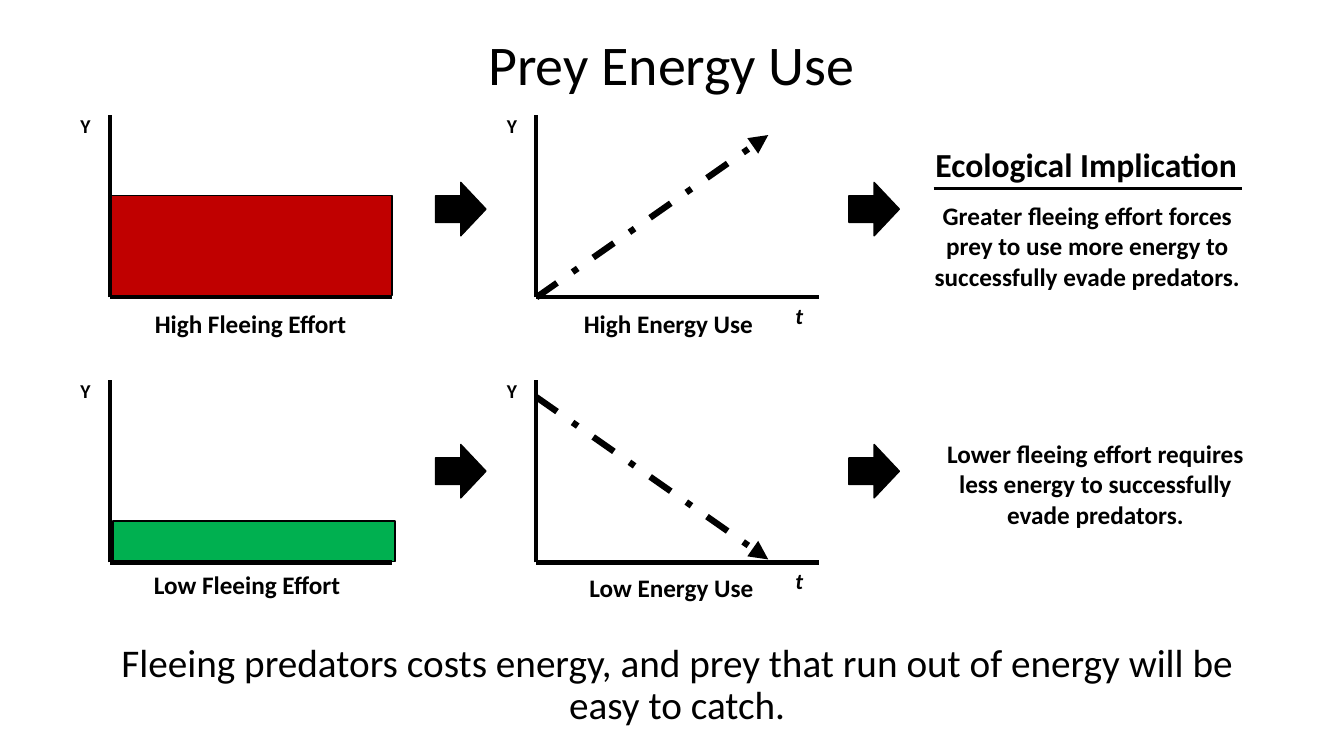
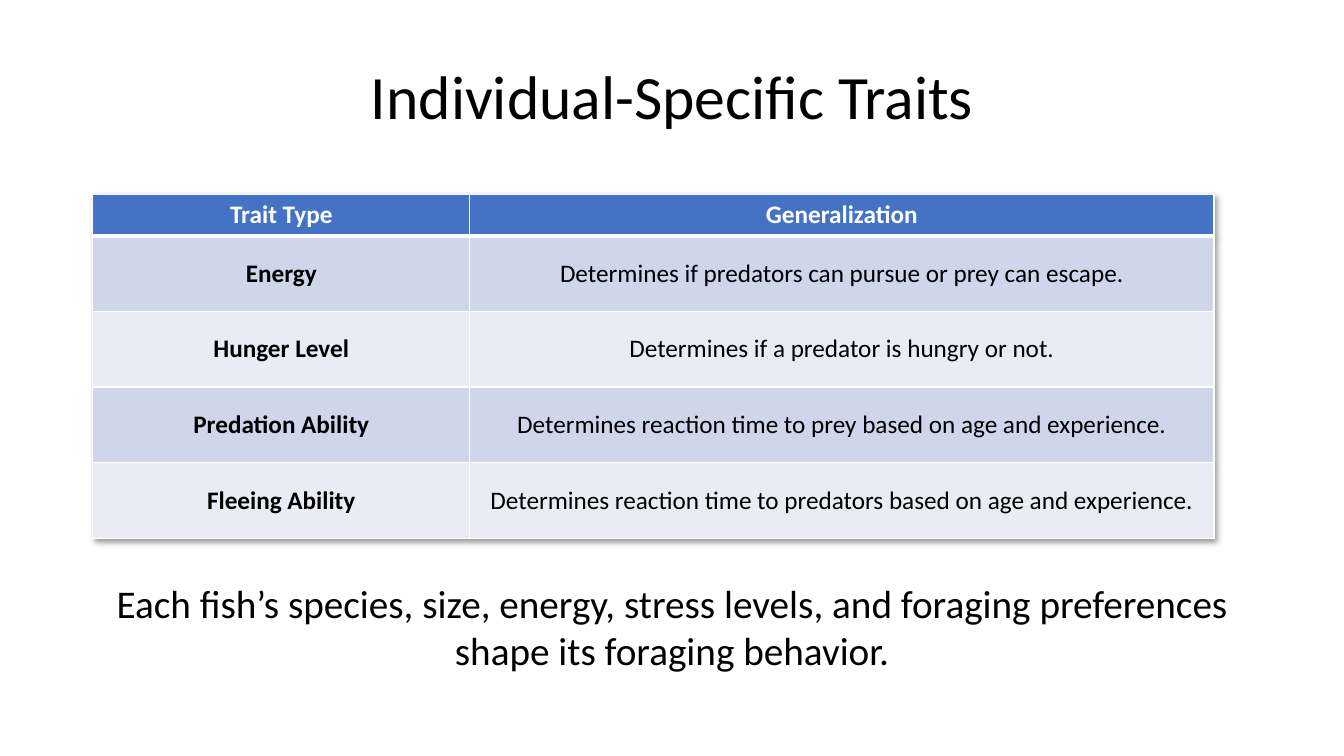
from lxml import etree
from pptx import Presentation
from pptx.dml.color import RGBColor
from pptx.enum import dml, shapes, text
from pptx.oxml import parse_xml
from pptx.oxml.ns import nsdecls, qn
from pptx.util import Inches, Pt

FONT = "Calibri"
BLACK = RGBColor(0x00, 0x00, 0x00)
WHITE = RGBColor(0xFF, 0xFF, 0xFF)
RED = RGBColor(0xC0, 0x00, 0x00)
GREEN = RGBColor(0x00, 0xB0, 0x50)
HEADER_BLUE = RGBColor(0x44, 0x72, 0xC4)
ROW_FILLS = (RGBColor(0xCF, 0xD5, 0xEA), RGBColor(0xE9, 0xEB, 0xF5))

EFFORT_X, ENERGY_X = 1.09, 5.32  # left edges of the two graph columns
AXIS_WIDTH, AXIS_HEIGHT = 2.8, 1.81
BASELINES = (2.95, 5.58)
ARROW_TOPS = (1.81, 4.41)

TRAITS = [
    ("Trait Type", "Generalization"),
    ("Energy", "Determines if predators can pursue or prey can escape."),
    ("Hunger Level", "Determines if a predator is hungry or not."),
    ("Predation Ability", "Determines reaction time to prey based on age and experience."),
    ("Fleeing Ability", "Determines reaction time to predators based on age and experience."),
]


def inches(*lengths):
    return [Inches(length) for length in lengths]


def write(frame, words, size, bold=False, italic=False, color=BLACK,
          align=text.PP_ALIGN.CENTER, spacing=None):
    frame.text = words
    para = frame.paragraphs[0]
    para.alignment = align
    if spacing:
        para.line_spacing = spacing
    font = para.runs[0].font
    font.name, font.size, font.bold, font.italic = FONT, Pt(size), bold, italic
    font.color.rgb = color


def write_heading(frame, words, size):
    """Write large text, centred both ways with tight line spacing."""
    frame.word_wrap = True
    frame.auto_size = text.MSO_AUTO_SIZE.NONE
    frame.vertical_anchor = text.MSO_ANCHOR.MIDDLE
    write(frame, words, size, spacing=0.9)


def add_titled_page(deck, words, size, left, top, width, height):
    page = deck.slides.add_slide(deck.slide_layouts[5])
    title = page.shapes.title
    title.left, title.top, title.width, title.height = inches(left, top, width, height)
    write_heading(title.text_frame, words, size)
    return page


def add_text(page, words, left, top, width, height, size=18, bold=True, **style):
    box = page.shapes.add_textbox(*inches(left, top, width, height))
    box.text_frame.word_wrap = True
    write(box.text_frame, words, size, bold, **style)


def add_shape(page, kind, left, top, width, height, fill):
    shape = page.shapes.add_shape(kind, *inches(left, top, width, height))
    shape.shadow.inherit = False
    shape.fill.solid()
    shape.fill.fore_color.rgb = fill
    shape.line.color.rgb = BLACK
    shape.line.width = Pt(1)


def add_line(page, x1, y1, x2, y2, weight=3):
    line = page.shapes.add_connector(shapes.MSO_CONNECTOR.STRAIGHT, *inches(x1, y1, x2, y2))
    line.line.color.rgb = BLACK
    line.line.width = Pt(weight)
    etree.SubElement(line._element.spPr, qn("a:effectLst"))
    return line


def add_trend(page, x1, y1, x2, y2):
    """Add a thick dash-dot line that ends in an arrowhead."""
    trend = add_line(page, x1, y1, x2, y2, 4.5)
    trend.line.dash_style = dml.MSO_LINE.DASH_DOT
    etree.SubElement(trend.line._get_or_add_ln(), qn("a:tailEnd"), type="triangle")


def add_axes(page, left, baseline):
    add_line(page, left, baseline, left, baseline - AXIS_HEIGHT)
    add_line(page, left, baseline, left + AXIS_WIDTH, baseline)
    add_text(page, "Y", left - 0.39, baseline - 1.87, 0.64, 0.45, 14,
             align=text.PP_ALIGN.LEFT)


def add_effort_graph(page, baseline, bar, color, caption, caption_box):
    add_shape(page, shapes.MSO_SHAPE.RECTANGLE, *bar, color)
    add_axes(page, EFFORT_X, baseline)
    add_text(page, caption, *caption_box)


def add_energy_graph(page, baseline, trend_start, trend_end, caption, caption_box):
    add_axes(page, ENERGY_X, baseline)
    add_text(page, "t", ENERGY_X + 2.47, baseline, 0.3, 0.37, 16, italic=True,
             align=text.PP_ALIGN.LEFT)
    add_trend(page, ENERGY_X, trend_start, 7.62, trend_end)
    add_text(page, caption, *caption_box)


def set_border(cell, side, weight):
    cell._tc.get_or_add_tcPr().append(parse_xml(
        f'<a:{side} {nsdecls("a")} w="{Pt(weight)}"><a:solidFill>'
        f'<a:srgbClr val="{WHITE}"/></a:solidFill></a:{side}>'))


def add_table_shadow(table):
    table._tbl.tblPr.insert(0, parse_xml(
        f'<a:effectLst {nsdecls("a")}><a:outerShdw blurRad="50800" dist="38100" '
        'dir="2700000" algn="tl" rotWithShape="0"><a:srgbClr val="000000">'
        '<a:alpha val="40000"/></a:srgbClr></a:outerShdw></a:effectLst>'))


def add_traits_table(page):
    table = page.shapes.add_table(len(TRAITS), 2, *inches(0.92, 1.93, 11.12, 3.41)).table
    add_table_shadow(table)
    for column, width in zip(table.columns, (3.74, 7.38)):
        column.width = Inches(width)
    for r, traits in enumerate(TRAITS):
        header = r == 0
        table.rows[r].height = Inches(0.41 if header else 0.75)
        for c, words in enumerate(traits):
            cell = table.cell(r, c)
            cell.vertical_anchor = text.MSO_ANCHOR.MIDDLE
            write(cell.text_frame, words, 18, bold=header or c == 0,
                  color=WHITE if header else BLACK)
            for side in ("lnL", "lnR", "lnT", "lnB"):
                thick = (r, side) in ((0, "lnB"), (1, "lnT"))
                set_border(cell, side, 3 if thick else 1)
            cell.fill.solid()
            cell.fill.fore_color.rgb = HEADER_BLUE if header else ROW_FILLS[(r - 1) % 2]


def build_energy_page(deck):
    page = add_titled_page(
        deck, "Fleeing predators costs energy, and prey that run out of energy will be easy to catch.",
        28, 0.85, 6.08, 11.73, 1.45)
    heading = page.shapes.add_textbox(*inches(0.48, -0.06, 12.36, 1.45))
    write_heading(heading.text_frame, "Prey Energy Use", 40)

    high, low = BASELINES
    add_effort_graph(page, high, (EFFORT_X, 1.94, AXIS_WIDTH, 0.99), RED,
                     "High Fleeing Effort", (0.32, 3.01, 4.33, 0.4))
    add_effort_graph(page, low, (1.12, 5.17, AXIS_WIDTH, 0.4), GREEN,
                     "Low Fleeing Effort", (1.34, 5.6, 2.22, 0.4))
    add_energy_graph(page, high, high, 1.34, "High Energy Use", (5.23, 3.01, 2.8, 0.4))
    add_energy_graph(page, low, 3.94, 5.55, "Low Energy Use", (5.36, 5.63, 2.6, 0.4))
    for top in ARROW_TOPS:
        for left in (4.32, 8.42):
            add_shape(page, shapes.MSO_SHAPE.RIGHT_ARROW, left, top, 0.5, 0.53, BLACK)

    add_text(page, "Ecological Implication", 9.18, 1.38, 3.3, 0.5, 24,
             align=text.PP_ALIGN.LEFT)
    add_line(page, 9.26, 1.87, 12.32, 1.87, 2.25)
    add_text(page, "Greater fleeing effort forces prey to use more energy to "
             "successfully evade predators.", 9.1, 1.94, 3.37, 1.01)
    add_text(page, "Lower fleeing effort requires less energy to successfully "
             "evade predators.", 9.18, 4.3, 3.37, 1.01)


def build_traits_page(deck):
    page = add_titled_page(deck, "Individual-Specific Traits", 44, 0.92, 0.26, 11.5, 1.45)
    add_traits_table(page)
    add_text(page, "Each fish’s species, size, energy, stress levels, and foraging "
             "preferences shape its foraging behavior.", 0.55, 5.7, 12.23, 1.04, 28, bold=False)


def main():
    deck = Presentation()
    deck.slide_width, deck.slide_height = inches(13.33, 7.5)
    build_energy_page(deck)
    build_traits_page(deck)
    deck.save("out.pptx")


if __name__ == "__main__":
    main()
